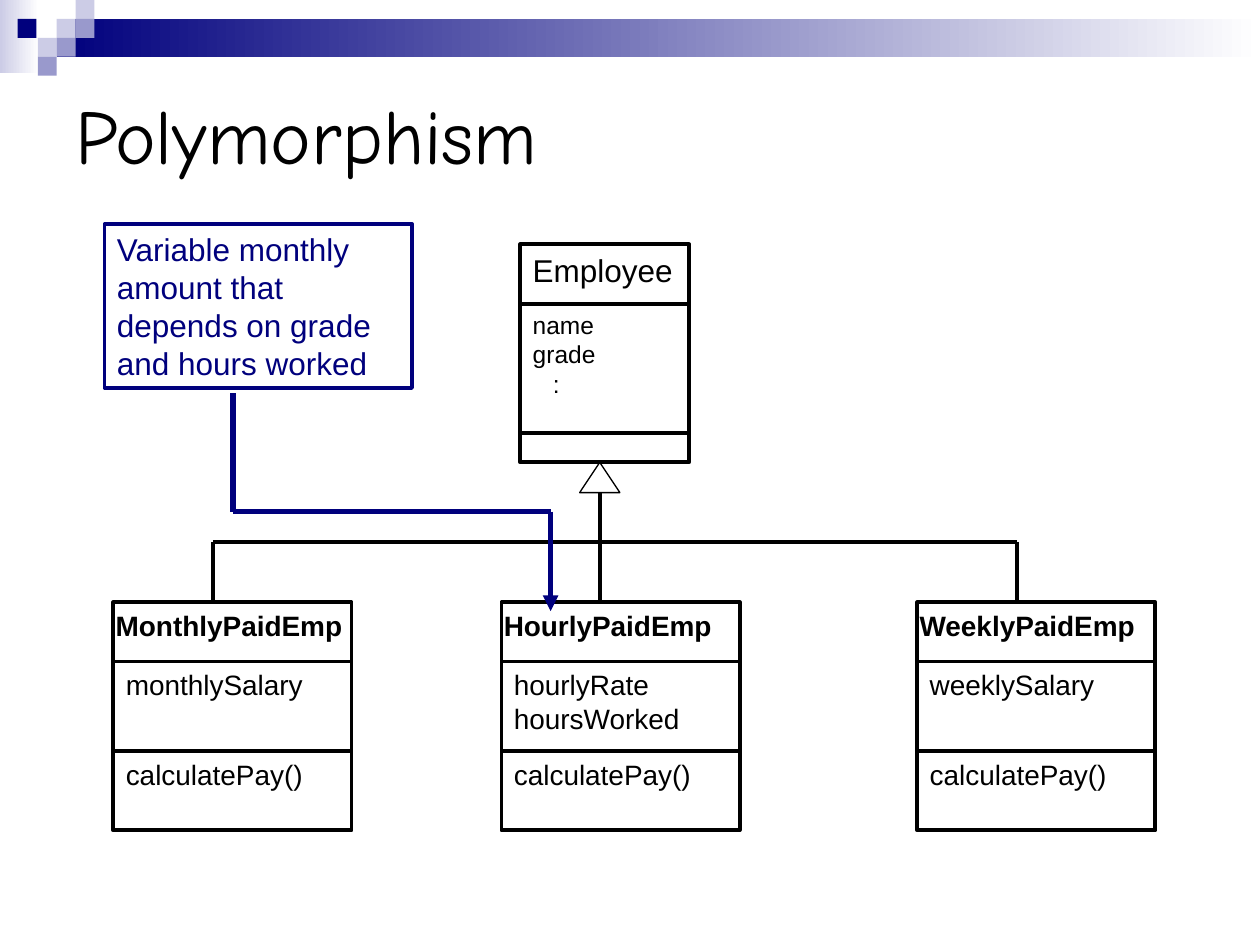
import pptx
import pptx.util
import pptx.dml.color
import pptx.enum.shapes
import pptx.enum.text
import pptx.oxml.ns
import lxml.etree

Inches, Pt = pptx.util.Inches, pptx.util.Pt
KIND = pptx.enum.shapes.MSO_SHAPE
ANCHOR = pptx.enum.text.MSO_ANCHOR
INK = {"black": "000000", "navy": "00007D", "lilac": "9999CC",
       "pale": "CCCCE6", "white": "FFFFFF"}


def tint(name):
    """Return the named colour."""
    return pptx.dml.color.RGBColor.from_string(INK[name])


def shape(slide, kind, box, fill=None, edge=None, width=2.25):
    """Add a preset shape with a plain, gradient or empty fill."""
    item = slide.shapes.add_shape(kind, *map(Inches, box))
    item.shadow.inherit = False
    if isinstance(fill, tuple):
        item.fill.gradient()
        item.fill.gradient_angle = 0
        for stop, name in zip(item.fill.gradient_stops, fill):
            stop.color.rgb = tint(name)
    elif fill:
        item.fill.solid()
        item.fill.fore_color.rgb = tint(fill)
    else:
        item.fill.background()
    if edge:
        item.line.color.rgb = tint(edge)
        item.line.width = Pt(width)
    else:
        item.line.fill.background()
    return item


def line(slide, start, end, color="black", width=2.25, arrow=False):
    """Add a straight line, with an arrowhead at its end if asked."""
    item = slide.shapes.add_connector(
        pptx.enum.shapes.MSO_CONNECTOR.STRAIGHT, *map(Inches, start + end))
    item.line.color.rgb = tint(color)
    item.line.width = Pt(width)
    props, name = item._element.spPr, pptx.oxml.ns.qn
    if arrow:
        lxml.etree.SubElement(props.find(name("a:ln")), name("a:tailEnd"),
                              type="triangle")
    lxml.etree.SubElement(props, name("a:effectLst"))


def route(slide, points, arrow=False, **look):
    """Join the points with lines, the last of which may bear an arrow."""
    for i, pair in enumerate(zip(points, points[1:]), 2):
        line(slide, *pair, arrow=arrow and i == len(points), **look)


def write(item, rows, size, color="black", bold=False, face="Arial",
          anchor=ANCHOR.TOP):
    """Fill the frame of an item with one paragraph for each row."""
    frame = item.text_frame
    frame.word_wrap = True
    frame.vertical_anchor = anchor
    look = {"size": Pt(size), "bold": bold, "name": face}
    for i, row in enumerate(rows):
        para = frame.add_paragraph() if i else frame.paragraphs[0]
        para.alignment = pptx.enum.text.PP_ALIGN.LEFT
        run = para.add_run()
        run.text = row
        for key, value in look.items():
            setattr(run.font, key, value)
        run.font.color.rgb = tint(color)
        if row == ":":
            para._p.get_or_add_pPr().set("marL", str(Inches(0.16)))


def label(slide, box, rows, size, **look):
    """Add a text box."""
    write(slide.shapes.add_textbox(*map(Inches, box)), rows, size, **look)


def banner(slide, box):
    """Draw the gradient bar and the mosaic of small squares."""
    left, top, wide, step = box
    shape(slide, KIND.RECTANGLE, (left, top, 0.31, 0.58), ("pale", "white"))
    shape(slide, KIND.RECTANGLE,
          (left + 3 * step, top + step, wide - 3 * step, 2 * step),
          ("navy", "white"))
    tiles = [(3, 1, "pale"), (4, 0, "pale"), (4, 1, "lilac"),
             (2, 2, "pale"), (0.93, 1, "navy"), (3, 2, "lilac"),
             (2, 3, "lilac")]
    for col, row, name in tiles:
        shape(slide, KIND.RECTANGLE,
              (left + col * step, top + row * step, step, step), name)


def entity(slide, box, name, fields, calls, split, sizes, bold=True, shift=0):
    """Draw a class box with its name, fields and methods."""
    left, top, wide, high = box
    shape(slide, KIND.RECTANGLE, box, edge="black")
    for gap in (0.47, split):
        line(slide, (left, top + gap), (left + wide, top + gap))
    big, small = sizes
    label(slide, (left - shift, top, wide + 2 * shift + 0.1, 0.4),
          [name], big, bold=bold)
    label(slide, (left, top + 0.47, wide + 0.16, split - 0.47), fields, small)
    if calls:
        label(slide, (left, top + split, wide, 0.37), calls, small)


def tree(slide, box, trunk):
    """Draw the inheritance arrow and its branches."""
    left, top, wide, high = box
    right, low, bar = left + wide, top + high, top + 0.63
    shape(slide, KIND.ISOSCELES_TRIANGLE, (trunk - 0.16, top, 0.32, 0.24),
          edge="black", width=0.75)
    line(slide, (trunk, top + 0.24), (trunk, low))
    route(slide, [(left, low), (left, bar), (right, bar), (right, low)])


def note(slide, box):
    """Draw the note and the arrow that leads from it."""
    left, top, wide, high = box
    item = shape(slide, KIND.RECTANGLE, box, edge="navy")
    write(item, ["Variable monthly amount that depends on grade "
                 "and hours worked"], 18, color="navy")
    start, end, bend = left + 1.02, left + 3.54, top + 2.28
    route(slide, [(start, top + high + 0.04), (start, bend), (end, bend),
                  (end, top + 3.07)], arrow=True, color="navy", width=3)


def main():
    """Build the slide and save it."""
    deck = pptx.Presentation()
    deck.slide_width, deck.slide_height = Inches(10), Inches(7.5)
    slide = deck.slides.add_slide(deck.slide_layouts[6])
    banner(slide, (0, 0, 10, 0.15))
    label(slide, (0.5, 0.5, 9, 1.12), ["Polymorphism"], 44,
          face="Comic Neue", anchor=ANCHOR.MIDDLE)
    entity(slide, (4.13, 1.94, 1.34, 1.73), "Employee",
           ["name", "grade", ":"], [], 1.5, (18, 14), bold=False)
    kinds = [(0.9, "Monthly", ["monthlySalary"]),
             (3.98, "Hourly", ["hourlyRate", "hoursWorked"]),
             (7.28, "Weekly", ["weeklySalary"])]
    for left, kind, fields in kinds:
        entity(slide, (left, 4.78, 1.89, 1.81), kind + "PaidEmp", fields,
               ["calculatePay()"], 1.18, (16, 16), shift=0.08)
    tree(slide, (1.69, 3.67, 6.38, 1.1), 4.76)
    note(slide, (0.83, 1.78, 2.44, 1.3))
    deck.save("out.pptx")


if __name__ == "__main__":
    main()
